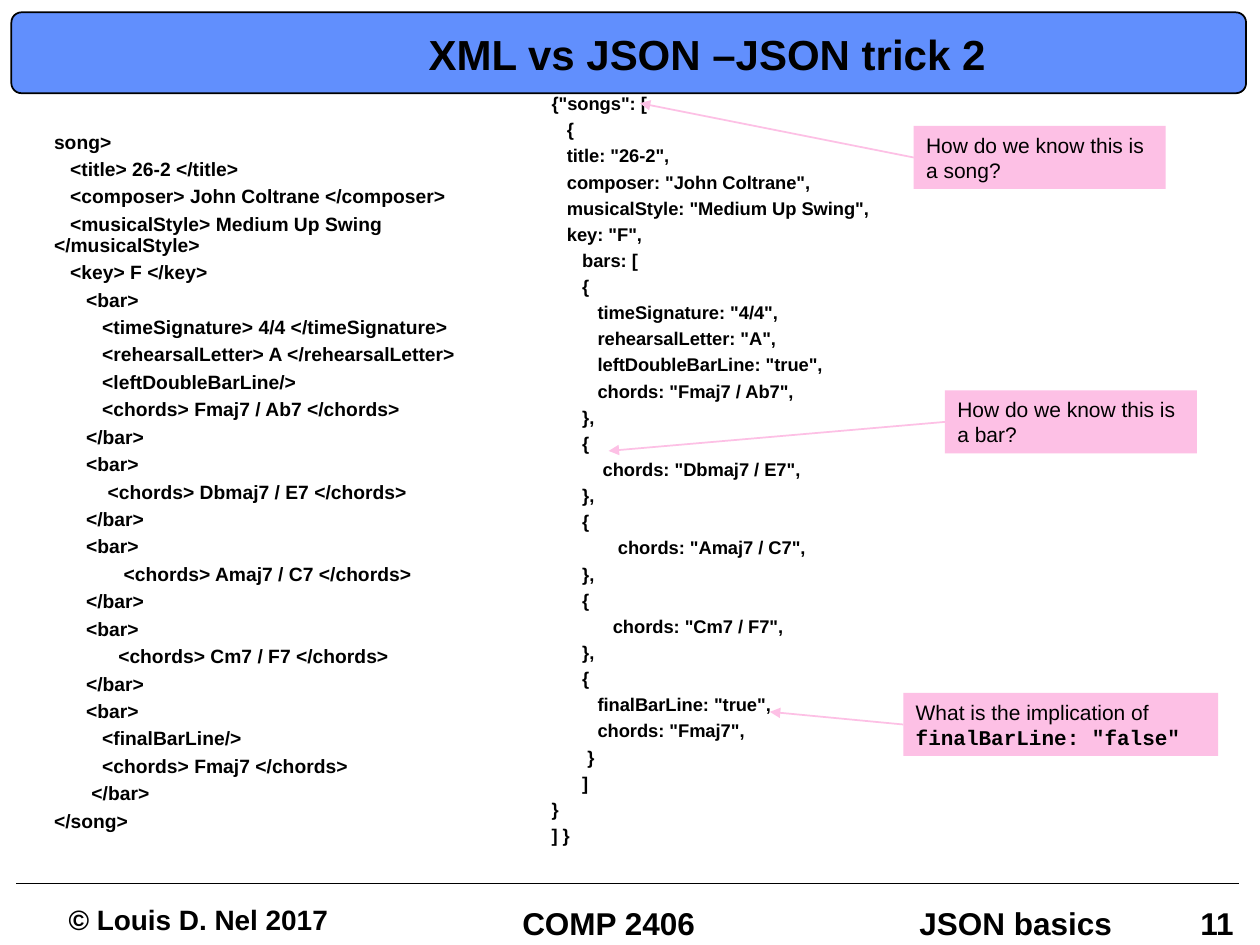
"""Build the slide comparing a song written in XML and in JSON."""
from pptx import Presentation
from pptx.dml.color import RGBColor
from pptx.enum.shapes import MSO_CONNECTOR, MSO_SHAPE
from pptx.enum.text import MSO_ANCHOR, PP_ALIGN
from pptx.oxml.ns import qn
from pptx.util import Cm, Pt
from lxml import etree

COLORS = {"ink": "000000", "banner": "618FFD", "callout": "FDC0E5"}
SPACE_EM = 0.278
TIGHT_INSETS = (0.18, 0.08)
NORMAL_INSETS = (0.25, 0.13)

TITLE = "XML vs JSON –JSON trick 2"
XML_CODE = """song>
   <title> 26-2 </title>
   <composer> John Coltrane </composer>
   <musicalStyle> Medium Up Swing </musicalStyle>
   <key> F </key>
      <bar>
         <timeSignature> 4/4 </timeSignature>
         <rehearsalLetter> A </rehearsalLetter>
         <leftDoubleBarLine/>
         <chords> Fmaj7 / Ab7 </chords>
      </bar>
      <bar>
          <chords> Dbmaj7 / E7 </chords>
      </bar>
      <bar>
             <chords> Amaj7 / C7 </chords>
      </bar>
      <bar>
            <chords> Cm7 / F7 </chords>
      </bar>
      <bar>
         <finalBarLine/>
         <chords> Fmaj7 </chords>
       </bar>
</song>"""
JSON_CODE = """{"songs": [
   {
   title: "26-2",
   composer: "John Coltrane",
   musicalStyle: "Medium Up Swing",
   key: "F",
      bars: [
      {
         timeSignature: "4/4",
         rehearsalLetter: "A",
         leftDoubleBarLine: "true",
         chords: "Fmaj7 / Ab7",
      },
      {
          chords: "Dbmaj7 / E7",
      },
      {
             chords: "Amaj7 / C7",
      },
      {
            chords: "Cm7 / F7",
      },
      {
         finalBarLine: "true",
         chords: "Fmaj7",
       }
      ]
}
] }"""
LISTINGS = [
    (JSON_CODE, 10.5, (10.87, 1.78, 9.32, 12.57)),
    (XML_CODE, 11, (0.84, 2.54, 9.32, 12.57)),
]
FOOTERS = [
    ("© Louis D. Nel 2017", 16, PP_ALIGN.CENTER, (1.17, 18.21, 5.66, 0.71)),
    ("11", 18, PP_ALIGN.RIGHT, (23.93, 18.26, 1.12, 0.79)),
    ("JSON basics", 18, PP_ALIGN.CENTER, (18.34, 18.26, 4.27, 0.79)),
    ("COMP 2406", 18, PP_ALIGN.CENTER, (10.34, 18.26, 3.86, 0.79)),
]
SANS, CODE = ("Arial", False), ("Courier New", True)
CALLOUTS = [
    ([("How do we know this is", SANS), ("a song?", SANS)],
     (18.42, 2.54, 5.08, 1.27), (12.9, 2.08)),
    ([("What is the implication of", SANS), ('finalBarLine: "false"', CODE)],
     (18.21, 13.97, 6.35, 1.27), (15.52, 14.35)),
    ([("How do we know this is", SANS), ("a bar?", SANS)],
     (19.05, 7.87, 5.08, 1.27), (12.27, 9.09)),
]


def rgb(name):
    return RGBColor.from_string(COLORS[name])


def cm(values):
    return [Cm(value) for value in values]


def set_frame(frame, insets, wrap=True):
    frame.word_wrap = wrap
    frame.vertical_anchor = MSO_ANCHOR.TOP
    frame.margin_left = frame.margin_right = Cm(insets[0])
    frame.margin_top = frame.margin_bottom = Cm(insets[1])
    return frame


def write_lines(frame, lines, size, align=PP_ALIGN.LEFT, spacing=None):
    for index, (text, (font, bold)) in enumerate(lines):
        paragraph = frame.paragraphs[0] if index == 0 else frame.add_paragraph()
        paragraph.alignment = align
        paragraph.line_spacing = spacing
        run = paragraph.add_run()
        run.text = text
        run.font.name, run.font.size, run.font.bold = font, Pt(size), bold
        run.font.color.rgb = rgb("ink")


def add_label(text, size, align, box, spacing=0.85, wrap=False):
    frame = set_frame(slide.shapes.add_textbox(*cm(box)).text_frame, TIGHT_INSETS, wrap)
    write_lines(frame, [(text, ("Arial", True))], size, align, spacing)


def add_listing(code, size, box):
    frame = set_frame(slide.shapes.add_textbox(*cm(box)).text_frame, NORMAL_INSETS)
    lines = code.splitlines()
    write_lines(frame, [(line.strip(), ("Arial", True)) for line in lines], size, spacing=0.9)
    for index, (line, paragraph) in enumerate(zip(lines, frame.paragraphs)):
        depth = len(line) - len(line.lstrip())
        properties = paragraph._p.get_or_add_pPr()
        properties.set("marL", "0")
        properties.set("indent", str(int(Pt(depth * SPACE_EM * size))))
        paragraph.space_before = Pt(round(0.345 * size, 1) if index else 0)


def add_box(kind, box, fill):
    shape = slide.shapes.add_shape(kind, *cm(box))
    shape.shadow.inherit = False
    shape.fill.solid()
    shape.fill.fore_color.rgb = rgb(fill)
    return shape


def add_line(start, end, color, arrow=False):
    line = slide.shapes.add_connector(MSO_CONNECTOR.STRAIGHT, *cm(start + end))
    line.line.color.rgb = rgb(color)
    line.line.width = Pt(1)
    if arrow:
        etree.SubElement(line.line._get_or_add_ln(), qn("a:tailEnd"), type="triangle")
    etree.SubElement(line._element.spPr, qn("a:effectLst"))


def add_callout(lines, box, tip):
    shape = add_box(MSO_SHAPE.RECTANGLE, box, "callout")
    shape.line.fill.background()
    write_lines(set_frame(shape.text_frame, NORMAL_INSETS), lines, 12)
    left, top, _, height = box
    add_line((left, top + height / 2), tip, "callout", arrow=True)


prs = Presentation()
prs.slide_width, prs.slide_height = Cm(25.4), Cm(19.05)
slide = prs.slides.add_slide(prs.slide_layouts[6])

add_line((0.33, 17.81), (24.97, 17.81), "ink")
banner = add_box(MSO_SHAPE.ROUNDED_RECTANGLE, (0.23, 0.25, 24.89, 1.63), "banner")
banner.adjustments[0] = 0.125
banner.line.color.rgb = rgb("ink")
banner.line.width = Pt(1)
for footer in FOOTERS:
    add_label(*footer)
add_label(TITLE, 24, PP_ALIGN.LEFT, (8.46, 0.64, 11.71, 1.04), 0.87)
for listing in LISTINGS:
    add_listing(*listing)
for callout in CALLOUTS:
    add_callout(*callout)

prs.save("out.pptx")
